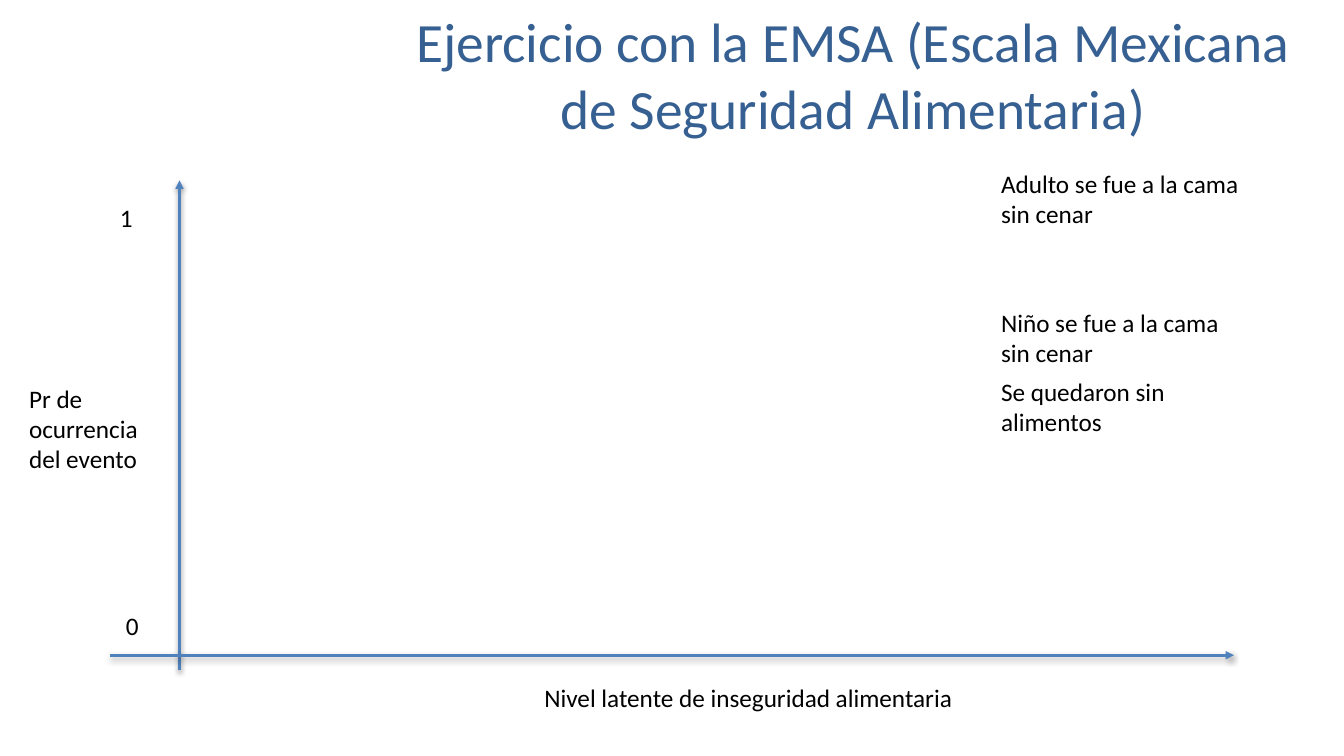
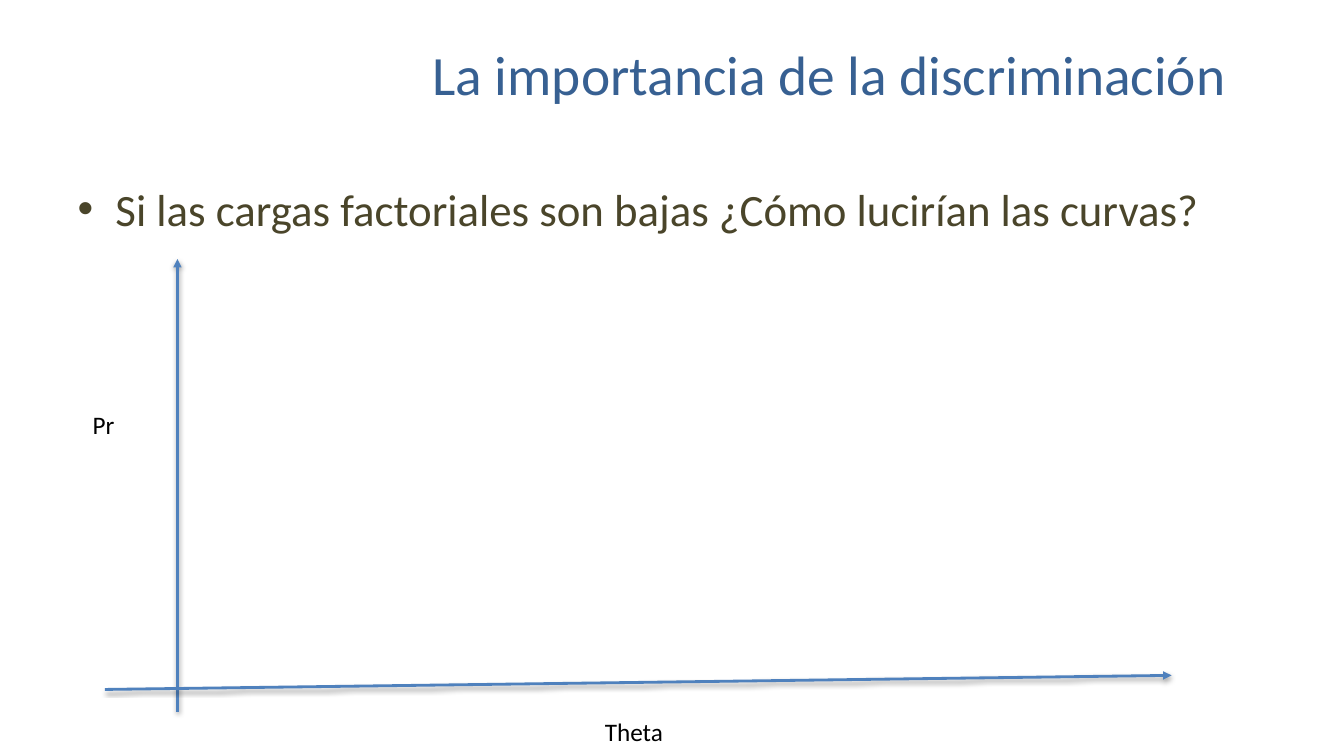
import pptx
import pptx.dml.color
import pptx.enum.dml
import pptx.enum.shapes
import pptx.enum.text
import pptx.oxml
import pptx.oxml.ns
import pptx.util

PX = 9144  # EMU in one px, 100 px to the inch
COLORS = {"title": "376092", "body": "4A452A", "text": "000000", "axis": "4F81BD", "shadow": "000000"}
FONT = "Calibri"
TITLE_ONLY, TITLE_AND_CONTENT = 5, 1


def px(value):
    return pptx.util.Emu(value * PX)


def color(name):
    return pptx.dml.color.RGBColor.from_string(COLORS[name])


def place(shape, box):
    shape.left, shape.top, shape.width, shape.height = map(px, box)


def write(shape, text, size, color_name):
    """Set a single paragraph and format its run."""
    frame = shape.text_frame
    frame.text = text
    frame.word_wrap = True
    frame.auto_size = pptx.enum.text.MSO_AUTO_SIZE.NONE
    font = frame.paragraphs[0].runs[0].font
    font.name = FONT
    font.size = pptx.util.Pt(size)
    font.color.rgb = color(color_name)


def add_slide(presentation, layout, title, title_width):
    slide = presentation.slides.add_slide(presentation.slide_layouts[layout])
    shape = slide.shapes.title
    place(shape, (378, 30, title_width, 86))
    write(shape, title, 39.6, "title")
    shape.text_frame.vertical_anchor = pptx.enum.text.MSO_ANCHOR.MIDDLE
    shape.text_frame.paragraphs[0].alignment = pptx.enum.text.PP_ALIGN.CENTER
    return slide


def add_label(slide, text, box):
    label = slide.shapes.add_textbox(*map(px, box))
    write(label, text, 18, "text")


def add_axis(slide, start, end):
    """Draw an arrow with a soft shadow below it."""
    axis = slide.shapes.add_connector(
        pptx.enum.shapes.MSO_CONNECTOR.STRAIGHT, *map(px, start + end))
    axis.line.color.rgb = color("axis")
    axis.line.width = pptx.util.Pt(2)
    namespace = pptx.oxml.ns.nsdecls("a")
    axis.line._get_or_add_ln().append(
        pptx.oxml.parse_xml(f'<a:tailEnd {namespace} type="triangle"/>'))
    axis._element.spPr.append(pptx.oxml.parse_xml(
        f'<a:effectLst {namespace}>'
        '<a:outerShdw blurRad="40000" dist="20000" dir="5400000" rotWithShape="0">'
        f'<a:srgbClr val="{COLORS["shadow"]}"><a:alpha val="38000"/></a:srgbClr>'
        '</a:outerShdw></a:effectLst>'))


def add_axes(slide, box, origin, rise=0):
    """Cross two axes in a box; origin is the crossing's offset from the lower left."""
    left, top, width, height = box
    origin_x, origin_y = origin
    bottom = top + height
    add_axis(slide, (left + origin_x, bottom), (left + origin_x, top))
    add_axis(slide, (left, bottom - origin_y), (left + width, bottom - origin_y - rise))


def build_exercise(presentation):
    slide = add_slide(presentation, TITLE_ONLY,
                      "Ejercicio con la EMSA (Escala Mexicana de Seguridad Alimentaria)", 936)
    add_axes(slide, (109, 179, 1115, 486), (69, 15))

    # Axis names and scale
    add_label(slide, "Nivel latente de inseguridad alimentaria", (530, 672, 452, 40))
    add_label(slide, "Pr de ocurrencia del evento", (19, 375, 130, 101))
    add_label(slide, "1", (109, 196, 69, 40))
    add_label(slide, "0", (115, 601, 69, 40))

    # Events to place on the graph
    events = {"Adulto se fue a la cama sin cenar": 162,
              "Niño se fue a la cama sin cenar": 300,
              "Se quedaron sin alimentos": 368}
    for event, top in events.items():
        add_label(slide, event, (983, top, 269, 71))


def build_discrimination(presentation):
    slide = add_slide(presentation, TITLE_AND_CONTENT, "La importancia de la discriminación", 889)

    # Question
    body = slide.placeholders[1]
    place(body, (67, 175, 1200, 495))
    write(body, "Si las cargas factoriales son bajas ¿Cómo lucirían las curvas?", 32, "body")

    # Empty graph
    add_axes(slide, (104, 257, 1058, 449), (72, 22), rise=14)
    add_label(slide, "Theta", (590, 706, 111, 40))
    add_label(slide, "Pr", (82, 401, 71, 40))


def main():
    presentation = pptx.Presentation()
    presentation.slide_width, presentation.slide_height = px(1333), px(750)
    build_exercise(presentation)
    build_discrimination(presentation)
    presentation.save("out.pptx")


if __name__ == "__main__":
    main()
